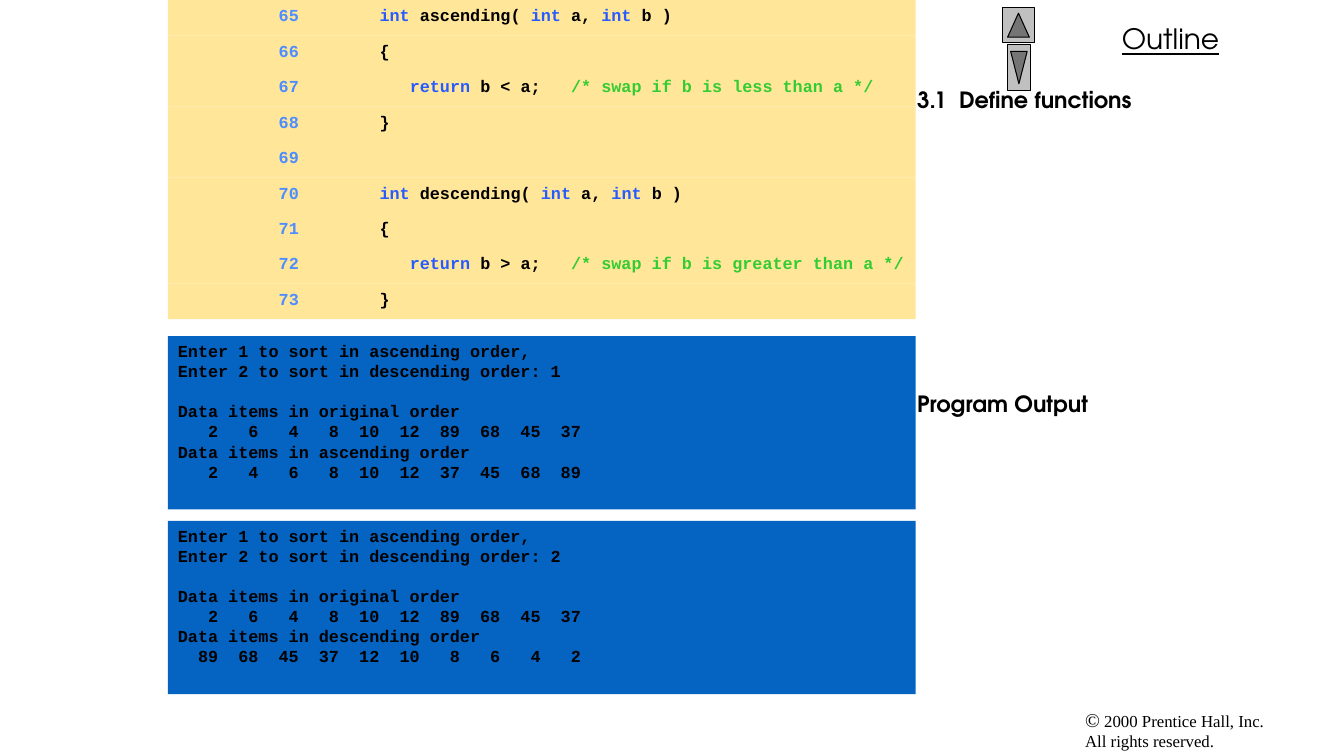
"""Build a code listing slide with its program output."""
import dataclasses

import lxml.etree
import pptx
import pptx.dml.color
import pptx.enum.shapes
import pptx.enum.text
import pptx.oxml.ns
import pptx.util

WIDTH, HEIGHT = pptx.util.Inches(13.33), pptx.util.Inches(7.5)
COLUMNS, ROWS = 16, 18
CODE_LEFT, CODE_WIDTH = 2, 8.9
CODE_ROWS = 7.6
FIRST_LINE_NUMBER = 65
OUTPUT_TOP, OUTPUT_STEP, OUTPUT_ROWS = 8, 4.4, 4.13
TAB_STOPS = (1, 2)
ARROW_INSET = 0.15


@dataclasses.dataclass(frozen=True)
class Theme:
    """Hold the colours, fonts and type sizes of the slide."""
    code_font: str = "Courier New"
    heading_font: str = "TeX Gyre Adventor"
    footer_font: str = "Times New Roman"
    title_size: int = 20
    note_size: int = 16
    symbol_size: int = 14
    body_size: int = 12
    text: str = "000000"
    number: str = "4D8DFF"
    keyword: str = "275AFF"
    comment: str = "33CC33"
    listing: str = "FFE699"
    output: str = "0563C1"
    button: str = "C0C0C0"
    arrow: str = "757575"


THEME = Theme()

INT = ("int", THEME.keyword)
RETURN = ("return", THEME.keyword)


def signature(name):
    """Return the coloured pieces of a comparison function's header."""
    return [INT, (f" {name}( ", THEME.text), INT, (" a, ", THEME.text), INT, (" b )", THEME.text)]


def comparison(operator, word):
    """Return the coloured pieces of a comparison function's body."""
    return [("   ", THEME.text), RETURN, (f" b {operator} a;   ", THEME.text),
            (f"/* swap if b is {word} than a */", THEME.comment)]


OPEN, CLOSE = [("{", THEME.text)], [("}", THEME.text)]
CODE = [
    signature("ascending"), OPEN, comparison("<", "less"), CLOSE,
    [],
    signature("descending"), OPEN, comparison(">", "greater"), CLOSE,
]
OUTPUTS = [
    (1, "ascending", "   2   4   6   8  10  12  37  45  68  89"),
    (2, "descending", "  89  68  45  37  12  10   8   6   4   2"),
]


def color(value):
    """Return a colour object for a hexadecimal value."""
    return pptx.dml.color.RGBColor.from_string(value)


def place(left, top, width, height):
    """Turn grid columns and rows into slide lengths."""
    return (round(WIDTH * left / COLUMNS), round(HEIGHT * top / ROWS),
            round(WIDTH * width / COLUMNS), round(HEIGHT * height / ROWS))


def paint(shape, fill, outline=None):
    """Give a shape a flat fill and an optional thin outline."""
    shape.shadow.inherit = False
    shape.fill.solid()
    shape.fill.fore_color.rgb = color(fill)
    if outline:
        shape.line.color.rgb = color(outline)
        shape.line.width = pptx.util.Pt(0.75)
    else:
        shape.line.fill.background()


def add_panel(slide, area, fill, outline=None):
    """Add a filled rectangle whose text starts at the top left."""
    panel = slide.shapes.add_shape(pptx.enum.shapes.MSO_SHAPE.RECTANGLE, *place(*area))
    paint(panel, fill, outline)
    panel.text_frame.word_wrap = True
    panel.text_frame.vertical_anchor = pptx.enum.text.MSO_ANCHOR.TOP
    return panel.text_frame


def add_text_box(slide, area):
    """Add a wrapping text box and return its text frame."""
    frame = slide.shapes.add_textbox(*place(*area)).text_frame
    frame.word_wrap = True
    return frame


def next_paragraph(frame, first):
    """Return the opening paragraph or a new left-aligned one."""
    paragraph = frame.paragraphs[0] if first else frame.add_paragraph()
    paragraph.alignment = pptx.enum.text.PP_ALIGN.LEFT
    return paragraph


def add_run(paragraph, text, font, size, fill=THEME.text, bold=False, underline=False):
    """Add one styled run to a paragraph."""
    run = paragraph.add_run()
    run.text = text
    run.font.name = font
    run.font.size = pptx.util.Pt(size)
    run.font.bold = bold
    run.font.underline = underline
    run.font.color.rgb = color(fill)


def add_tab_stops(paragraph):
    """Set the tab stops for the line number and the code."""
    name = pptx.oxml.ns.qn
    properties = paragraph._p.get_or_add_pPr()
    stops = lxml.etree.SubElement(properties, name("a:tabLst"))
    for position in TAB_STOPS:
        lxml.etree.SubElement(stops, name("a:tab"), pos=str(pptx.util.Inches(position)), algn="l")


def add_listing(slide):
    """Add the numbered code, one band per line."""
    pitch = CODE_ROWS / len(CODE)
    for index, pieces in enumerate(CODE):
        frame = add_panel(slide, (CODE_LEFT, index * pitch, CODE_WIDTH, pitch), THEME.listing)
        paragraph = next_paragraph(frame, True)
        add_tab_stops(paragraph)
        number = (f"\t{FIRST_LINE_NUMBER + index}\t", THEME.number)
        for text, fill in [number, *pieces]:
            add_run(paragraph, text, THEME.code_font, THEME.body_size, fill, bold=True)


def add_output(slide, index, choice, order, values):
    """Add one panel with the output of a program run."""
    top = OUTPUT_TOP + index * OUTPUT_STEP
    frame = add_panel(slide, (CODE_LEFT, top, CODE_WIDTH, OUTPUT_ROWS), THEME.output)
    prompt = ["Enter 1 to sort in ascending order,",
              f"Enter 2 to sort in descending order: {choice}"]
    result = ["Data items in original order",
              "   2   6   4   8  10  12  89  68  45  37",
              f"Data items in {order} order", values]
    for line, text in enumerate(prompt + result):
        paragraph = next_paragraph(frame, line == 0)
        if line == len(prompt):
            paragraph.space_before = pptx.util.Pt(14)
        add_run(paragraph, text, THEME.code_font, THEME.body_size, bold=True)


def add_button(slide, area, points_up):
    """Add a grey button with a triangular arrow."""
    add_panel(slide, area, THEME.button, THEME.text)
    left, top, width, height = place(*area)
    near, far = ARROW_INSET, 1 - ARROW_INSET
    tip, base = (near, far) if points_up else (far, near)
    corners = [(round(left + x * width), round(top + y * height))
               for x, y in ((0.5, tip), (far, base), (near, base))]
    builder = slide.shapes.build_freeform(*corners[0])
    builder.add_line_segments(corners[1:], close=True)
    paint(builder.convert_to_shape(), THEME.arrow, THEME.text)


def add_title(slide):
    """Add the underlined outline title."""
    paragraph = add_text_box(slide, (11.87, 0.4, 4.13, 1.03)).paragraphs[0]
    paragraph.alignment = pptx.enum.text.PP_ALIGN.CENTER
    add_run(paragraph, "Outline", THEME.heading_font, THEME.title_size, underline=True)


def add_notes_column(slide):
    """Add the headings beside the code and its output."""
    frame = add_text_box(slide, (10.8, 2, 3.2, 16))
    for index, text in enumerate(("3.1  Define functions", "Program Output")):
        paragraph = next_paragraph(frame, index == 0)
        paragraph.line_spacing = 0.9
        if index:
            paragraph.space_before = pptx.util.Pt(200)
        add_run(paragraph, text, THEME.heading_font, THEME.note_size, bold=True)


def add_footer(slide):
    """Add the copyright line."""
    paragraph = next_paragraph(add_text_box(slide, (12.8, 16.73, 3.2, 1.27)), True)
    add_run(paragraph, "©", THEME.footer_font, THEME.symbol_size)
    add_run(paragraph, " 2000 Prentice Hall, Inc.", THEME.footer_font, THEME.body_size)
    paragraph.add_line_break()
    add_run(paragraph, "All rights reserved.", THEME.footer_font, THEME.body_size)


def main():
    """Build and save the presentation."""
    presentation = pptx.Presentation()
    presentation.slide_width, presentation.slide_height = WIDTH, HEIGHT
    slide = presentation.slides.add_slide(presentation.slide_layouts[6])
    add_title(slide)
    add_button(slide, (11.94, 0.19, 0.37, 0.82), points_up=True)
    add_button(slide, (11.99, 1.06, 0.28, 1.1), points_up=False)
    add_footer(slide)
    add_notes_column(slide)
    add_listing(slide)
    for index, output in enumerate(OUTPUTS):
        add_output(slide, index, *output)
    presentation.save("out.pptx")


if __name__ == "__main__":
    main()
